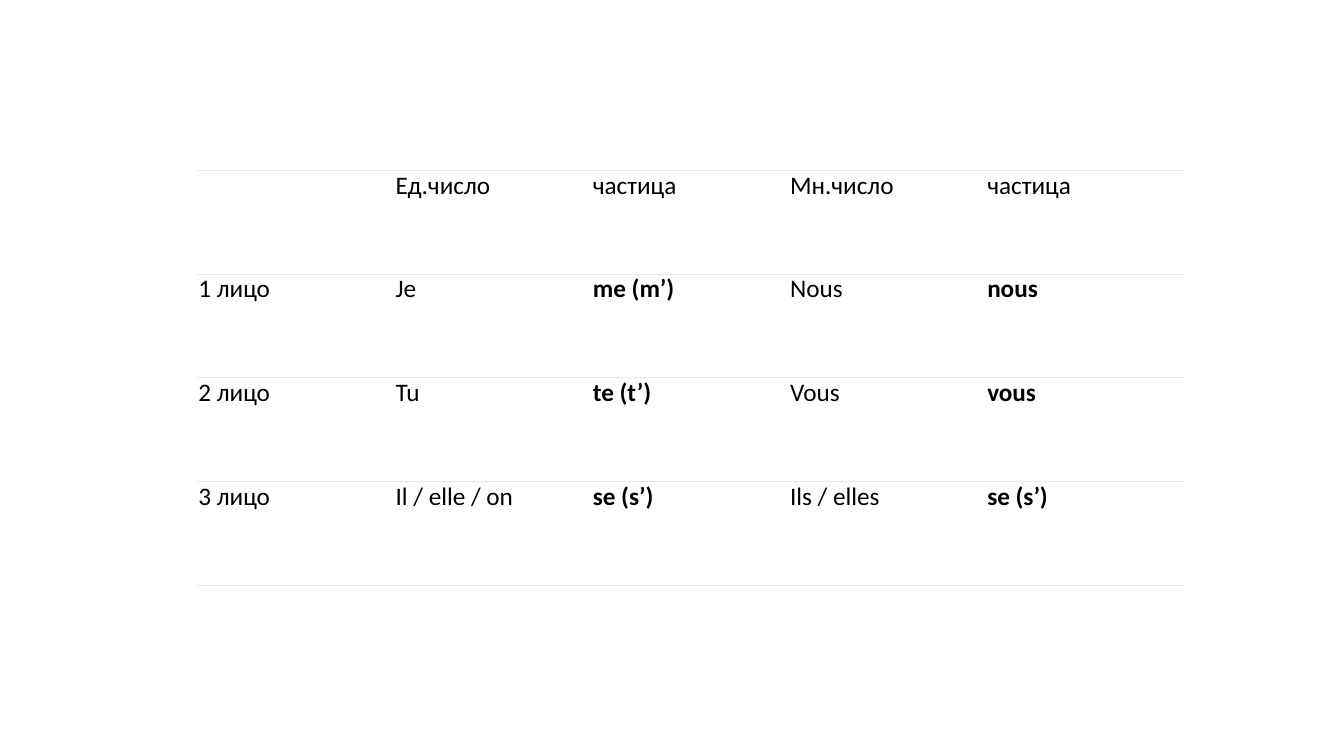
from dataclasses import dataclass

from lxml import etree
from pptx import Presentation
from pptx.dml.color import RGBColor
from pptx.oxml.ns import qn
from pptx.util import Cm, Pt


@dataclass(frozen=True)
class Theme:
    """Colours, font and sizes of the slide."""
    font: str = "Calibri"
    size: int = 18
    text: str = "000000"
    fill: str = "FFFFFF"
    border: str = "E6E6E6"
    border_width: float = 0.5


THEME = Theme()
PARTICLE_COLUMNS = (2, 4)
PRONOUNS = [
    ["", "Ед.число", "частица", "Мн.число", "частица"],
    ["1 лицо", "Je", "me (m’)", "Nous", "nous"],
    ["2 лицо", "Tu", "te (t’)", "Vous", "vous"],
    ["3 лицо", "Il / elle / on", "se (s’)", "Ils / elles", "se (s’)"],
]


def set_attributes(target, values):
    """Set every attribute named in a dict of format values."""
    for name, value in values.items():
        setattr(target, name, value)


def set_horizontal_borders(cell):
    """Draw the top and bottom borders of a cell and hide its sides."""
    properties = cell._tc.get_or_add_tcPr()
    for position, side in enumerate(("lnL", "lnR", "lnT", "lnB")):
        line = etree.Element(qn(f"a:{side}"), w=str(Pt(THEME.border_width)))
        if side in ("lnT", "lnB"):
            fill = etree.SubElement(line, qn("a:solidFill"))
            etree.SubElement(fill, qn("a:srgbClr"), val=THEME.border)
        else:
            etree.SubElement(line, qn("a:noFill"))
        properties.insert(position, line)


def format_cell(cell, text, bold):
    """Write the text of one cell and give it fill, margins and borders."""
    margins = ("margin_left", "margin_right", "margin_top", "margin_bottom")
    set_attributes(cell, dict.fromkeys(margins, 0))
    cell.fill.solid()
    cell.fill.fore_color.rgb = RGBColor.from_string(THEME.fill)
    set_horizontal_borders(cell)
    cell.text = text
    font = cell.text_frame.paragraphs[0].font
    set_attributes(font, {"name": THEME.font, "size": Pt(THEME.size), "bold": bold})
    font.color.rgb = RGBColor.from_string(THEME.text)


def add_pronoun_table(slide, left, top, width, height):
    """Fill the given box with the table of pronouns and particles."""
    row_count, column_count = len(PRONOUNS), len(PRONOUNS[0])
    table = slide.shapes.add_table(
        row_count, column_count, left, top, width, height
    ).table
    set_attributes(table, {"first_row": False, "horz_banding": False})
    for row_index, row in enumerate(PRONOUNS):
        for column_index, text in enumerate(row):
            bold = row_index > 0 and column_index in PARTICLE_COLUMNS
            format_cell(table.cell(row_index, column_index), text, bold)


def main():
    """Build and save the presentation."""
    presentation = Presentation()
    set_attributes(presentation, {"slide_width": Cm(33.87), "slide_height": Cm(19.05)})
    slide = presentation.slides.add_slide(presentation.slide_layouts[6])
    add_pronoun_table(slide, Cm(5), Cm(4.29), Cm(24.85), Cm(10.45))
    presentation.save("out.pptx")


if __name__ == "__main__":
    main()
